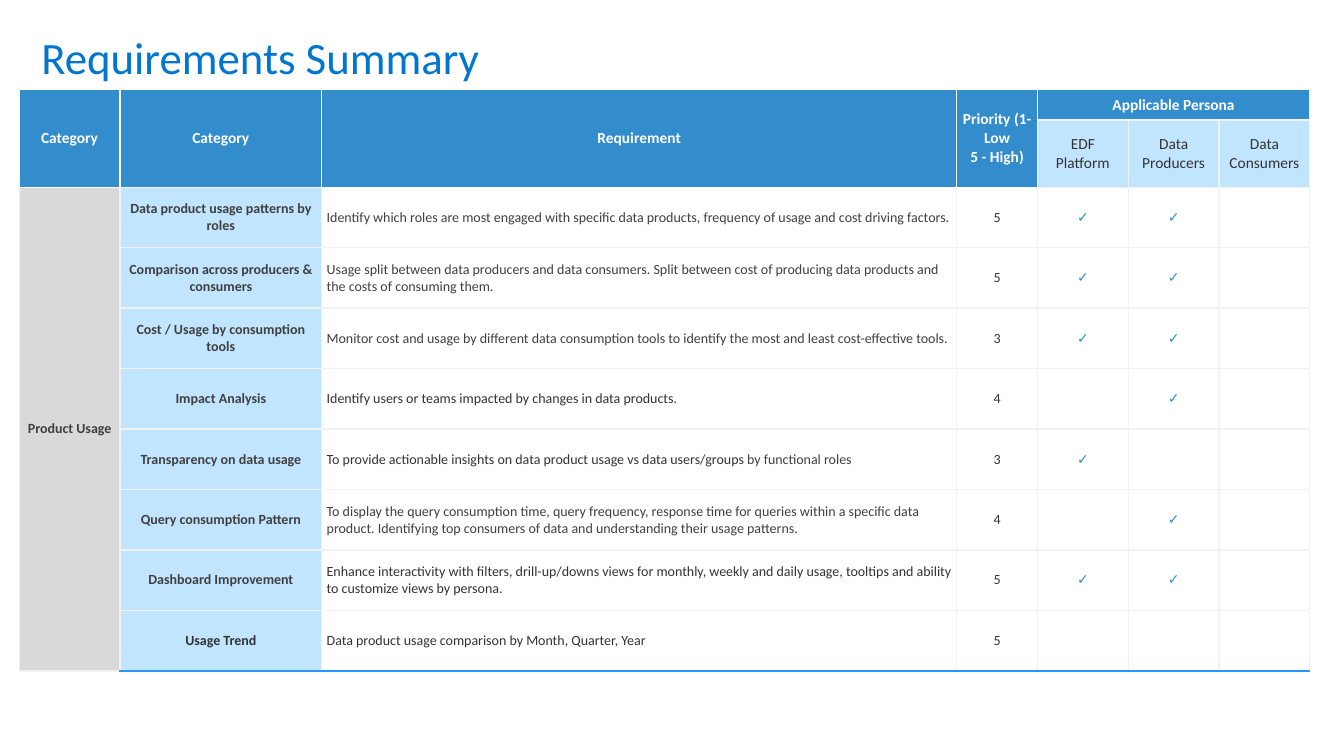
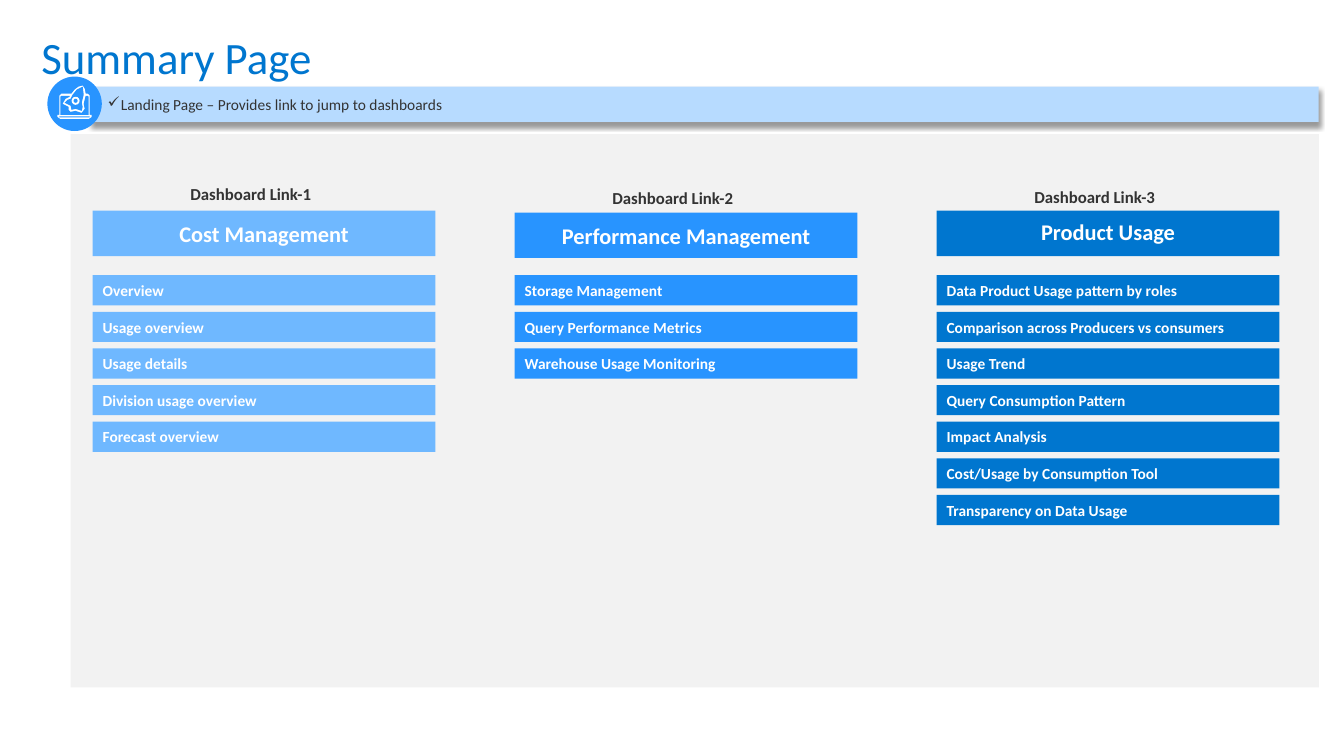
from lxml import etree
from pptx import Presentation
from pptx.dml.color import RGBColor
from pptx.enum.shapes import MSO_SHAPE
from pptx.enum.text import MSO_ANCHOR, MSO_AUTO_SIZE, PP_ALIGN
from pptx.oxml.ns import qn
from pptx.util import Inches, Pt

RECTANGLE, OVAL = MSO_SHAPE.RECTANGLE, MSO_SHAPE.OVAL
LEFT, CENTER = PP_ALIGN.LEFT, PP_ALIGN.CENTER
TOP, MIDDLE = MSO_ANCHOR.TOP, MSO_ANCHOR.MIDDLE
FONT = "Calibri"
TITLE_ONLY = 5
COLORS = {
    "title": "0076CF", "header": "338DCD", "pale": "C2E5FF", "band": "B7DBFF",
    "sky": "6FB8FF", "bright": "2894FF", "deep": "0076CF",
    "panel": "F2F2F2", "group": "D9D9D9", "white": "FFFFFF",
    "dark": "333333", "soft": "404040", "black": "000000",
}

# Requirements: category, category colour, requirement runs, priority, personas
CHECK = "✓"
MAIN_HEADERS = [["Category"], ["Category"], ["Requirement"],
                ["Priority (1- Low", "5 - High)"]]
PERSONAS = ["EDF Platform", "Data Producers", "Data Consumers"]
REQUIREMENTS = [
    ("Data product usage patterns by roles", "soft",
     [("Identify which roles are most engaged with specific data products, "
       "frequency of usage and cost driving factors.", "soft")], "5", (1, 1, 0)),
    ("Comparison across producers & consumers", "soft",
     [("Usage split between data producers and data consumers. Split between cost "
       "of producing data products and the costs of consuming them.", "soft")],
     "5", (1, 1, 0)),
    ("Cost / Usage by consumption tools", "soft",
     [("Monitor cost and usage by different data consumption tools to identify "
       "the most and least cost-effective tools.", "soft")], "3", (1, 1, 0)),
    ("Impact Analysis", "soft",
     [("Identify users or teams impacted by changes in data products.", "dark")],
     "4", (0, 1, 0)),
    ("Transparency on data usage", "soft",
     [("To provide actionable insights on data product usage vs data users/groups",
       "dark"), (" by functional roles", "soft")], "3", (1, 0, 0)),
    ("Query consumption Pattern", "soft",
     [("To display the query consumption time, query frequency, response time "
       "for queries within a specific data product. Identifying top consumers of "
       "data and understanding their usage patterns.", "soft")], "4", (0, 1, 0)),
    ("Dashboard Improvement", "soft",
     [("Enhance interactivity with filters, drill-up/downs views for monthly, "
       "weekly and daily usage, tooltips and ability to customize views by "
       "persona.", "dark")], "5", (1, 1, 0)),
    ("Usage Trend", "dark",
     [("Data product usage comparison by Month, Quarter, Year", "dark")],
     "5", (0, 0, 0)),
]
COLUMN_WIDTHS = [1, 2, 6.3, 0.8, 0.9, 0.9, 0.9]
ROW_HEIGHTS = [0.3, 0.66] + [0.6] * len(REQUIREMENTS)

# Dashboards: link, label top, heading, heading top, line spacing, colour, pages
DASHBOARDS = [
    ("Dashboard Link-1", 1.77, "Cost Management", 2.09, 1.0, "sky",
     ["Overview", "Usage overview", "Usage details", "Division usage overview",
      "Forecast overview"]),
    ("Dashboard Link-2", 1.81, "Performance Management", 2.11, 1.0, "bright",
     ["Storage Management", "Query Performance Metrics",
      "Warehouse Usage Monitoring"]),
    ("Dashboard Link-3", 1.8, "Product Usage", 2.09, 0.9, "deep",
     ["Data Product Usage pattern by roles",
      "Comparison across Producers vs consumers", "Usage Trend",
      "Query Consumption Pattern", "Impact Analysis",
      "Cost/Usage by Consumption Tool", "Transparency on Data Usage"]),
]
FIRST_LEFT, LAST_LEFT, COLUMN_WIDTH = 0.92, 9.29, 3.4
FIRST_PAGE_TOP, LAST_PAGE_TOP, PAGE_HEIGHT = 2.73, 4.91, 0.3
COLUMN_PITCH = (LAST_LEFT - FIRST_LEFT) / (len(DASHBOARDS) - 1)
PAGE_PITCH = (LAST_PAGE_TOP - FIRST_PAGE_TOP) / 6

# Laptop and rocket icon, outlines in inches from back to front
ICON_OUTLINES = [
    ("white", [(0.6, 1.18), (0.57, 1.16), (0.57, 1.14), (0.59, 1.14), (0.59, 0.95),
               (0.61, 0.93), (0.71, 0.93), (0.74, 0.89), (0.78, 0.86), (0.82, 0.85),
               (0.84, 0.88), (0.85, 0.93), (0.87, 0.93), (0.89, 0.95), (0.89, 1.14),
               (0.91, 1.14), (0.91, 1.16), (0.88, 1.18)]),
    ("bright", [(0.6, 0.96), (0.61, 0.95), (0.69, 0.95), (0.69, 0.96), (0.65, 0.98),
                (0.62, 1.03), (0.68, 1.06), (0.68, 1.09), (0.7, 1.11), (0.75, 1.1),
                (0.81, 1.12), (0.84, 1.08), (0.83, 1.03), (0.85, 0.95),
                (0.87, 0.95), (0.88, 0.96), (0.88, 1.14), (0.6, 1.14)]),
    ("bright", [(0.72, 0.94), (0.76, 0.89), (0.82, 0.86), (0.83, 0.94), (0.81, 1.02),
                (0.82, 1.06), (0.81, 1.1), (0.75, 1.08), (0.71, 1.09), (0.7, 1.05),
                (0.64, 1.02), (0.67, 0.99), (0.7, 0.98)]),
]


def color(name):
    return RGBColor.from_string(COLORS[name])


def add_run(paragraph, text, size, color_name, bold=False):
    run = paragraph.add_run()
    run.text = text
    run.font.name = FONT
    run.font.size = Pt(size)
    run.font.bold = bold
    run.font.color.rgb = color(color_name)


def paint(shape, fill_name):
    shape.shadow.inherit = False
    shape.fill.solid()
    shape.fill.fore_color.rgb = color(fill_name)
    shape.line.fill.background()


def add_block(slide, box, fill_name, kind=RECTANGLE):
    shape = slide.shapes.add_shape(kind, *[Inches(value) for value in box])
    paint(shape, fill_name)
    return shape


def add_label_block(slide, box, fill_name, text, size, alignment=LEFT, spacing=1.0):
    frame = add_block(slide, box, fill_name).text_frame
    frame.word_wrap = True
    frame.vertical_anchor = MIDDLE
    paragraph = frame.paragraphs[0]
    paragraph.alignment = alignment
    paragraph.line_spacing = spacing
    add_run(paragraph, text, size, "white", True)


def add_titled_slide(presentation, text):
    slide = presentation.slides.add_slide(presentation.slide_layouts[TITLE_ONLY])
    title = slide.shapes.title
    title.left, title.top = Inches(0.31), Inches(0.24)
    title.width, title.height = Inches(13.02), Inches(0.56)
    title.text_frame.auto_size = MSO_AUTO_SIZE.NONE
    title.text_frame.vertical_anchor = TOP
    title.text_frame.paragraphs[0].alignment = LEFT
    add_run(title.text_frame.paragraphs[0], text, 32, "title")
    return slide


def set_borders(cell, edges):
    properties = cell._tc.get_or_add_tcPr()
    for side, color_name in edges.items():
        line = etree.SubElement(properties, qn("a:ln" + side), w=str(Pt(1)))
        fill = etree.SubElement(line, qn("a:solidFill"))
        etree.SubElement(fill, qn("a:srgbClr"), val=COLORS[color_name])


def fill_cell(cell, paragraphs, size, fill_name=None, bold=False, alignment=CENTER):
    """Each paragraph is a list of (text, colour name) runs."""
    if fill_name:
        cell.fill.solid()
        cell.fill.fore_color.rgb = color(fill_name)
    else:
        cell.fill.background()
    cell.vertical_anchor = MIDDLE
    cell.margin_left = cell.margin_right = Inches(0.05)
    cell.margin_top = cell.margin_bottom = Inches(0.05)
    frame = cell.text_frame
    for index, runs in enumerate(paragraphs):
        paragraph = frame.add_paragraph() if index else frame.paragraphs[0]
        paragraph.alignment = alignment
        for text, color_name in runs:
            add_run(paragraph, text, size, color_name, bold)


def build_requirements(presentation):
    slide = add_titled_slide(presentation, "Requirements Summary")
    row_count, column_count = len(ROW_HEIGHTS), len(COLUMN_WIDTHS)
    table = slide.shapes.add_table(
        row_count, column_count, Inches(0.19), Inches(0.89),
        Inches(sum(COLUMN_WIDTHS)), Inches(sum(ROW_HEIGHTS))).table
    table.first_row = table.horz_banding = False
    for column, width in zip(table.columns, COLUMN_WIDTHS):
        column.width = Inches(width)
    for row, height in zip(table.rows, ROW_HEIGHTS):
        row.height = Inches(height)

    # Borders: white around the main headers, blue under the last row
    main_count = len(MAIN_HEADERS)
    for row in range(row_count):
        for column in range(column_count):
            edges = dict.fromkeys("LRTB", "panel")
            if row < 2 and column < main_count:
                edges = dict.fromkeys("LRTB", "white")
            elif row < 2 and column == main_count:
                edges["L"] = "white"
            elif row == 2 and column < main_count:
                edges["T"] = "white"
            if row == row_count - 1:
                edges["B"] = "bright"
            set_borders(table.cell(row, column), edges)

    # Header rows
    for column, lines in enumerate(MAIN_HEADERS):
        table.cell(0, column).merge(table.cell(1, column))
        fill_cell(table.cell(0, column), [[(line, "white")] for line in lines],
                  11, "header", True)
    table.cell(0, main_count).merge(table.cell(0, column_count - 1))
    fill_cell(table.cell(0, main_count), [[("Applicable Persona", "white")]],
              11, "header", True)
    for column, persona in enumerate(PERSONAS, main_count):
        fill_cell(table.cell(1, column), [[(persona, "dark")]], 11, "pale")

    # Body rows
    table.cell(2, 0).merge(table.cell(row_count - 1, 0))
    fill_cell(table.cell(2, 0), [[("Product Usage", "soft")]], 10, "group", True)
    for row, (category, shade, runs, priority, checks) in enumerate(REQUIREMENTS, 2):
        fill_cell(table.cell(row, 1), [[(category, shade)]], 10, "pale", True)
        fill_cell(table.cell(row, 2), [runs], 10, alignment=LEFT)
        fill_cell(table.cell(row, 3), [[(priority, "dark")]], 10)
        for column, checked in enumerate(checks, main_count):
            marks = [[(CHECK, "header")]] if checked else []
            fill_cell(table.cell(row, column), marks, 10)


def add_landing_band(slide):
    band = add_block(slide, (0.91, 0.86, 12.17, 0.35), "band")
    effects = band._element.spPr.find(qn("a:effectLst"))
    shadow = etree.SubElement(effects, qn("a:outerShdw"), blurRad=str(Pt(4)),
                              dist=str(Pt(3)), dir="5400000", rotWithShape="0")
    shade = etree.SubElement(shadow, qn("a:srgbClr"), val=COLORS["black"])
    etree.SubElement(shade, qn("a:alpha"), val="40000")
    band.text_frame.word_wrap = True
    band.text_frame.vertical_anchor = MIDDLE
    paragraph = band.text_frame.paragraphs[0]
    paragraph.alignment = LEFT
    properties = paragraph._p.get_or_add_pPr()
    properties.set("marL", str(Inches(0.19)))
    properties.set("indent", str(Inches(-0.13)))
    etree.SubElement(properties, qn("a:buChar"), char=CHECK)
    add_run(paragraph, "Landing Page – Provides link to jump to dashboards", 11, "dark")


def add_icon(slide):
    add_block(slide, (0.47, 0.76, 0.54, 0.54), "bright", OVAL)
    for fill_name, outline in ICON_OUTLINES:
        points = [(Inches(x), Inches(y)) for x, y in outline]
        builder = slide.shapes.build_freeform(*points[0])
        builder.add_line_segments(points[1:], close=True)
        paint(builder.convert_to_shape(), fill_name)
    # Rocket window: white ring with a blue centre
    add_block(slide, (0.71, 0.96, 0.08, 0.08), "white", OVAL)
    add_block(slide, (0.73, 0.98, 0.04, 0.04), "bright", OVAL)
    add_block(slide, (0.59, 1.155, 0.3, 0.01), "bright")


def build_summary(presentation):
    slide = add_titled_slide(presentation, "Summary Page")
    add_block(slide, (0.7, 1.33, 12.38, 5.49), "panel")
    for index, dashboard in enumerate(DASHBOARDS):
        link, link_top, heading, heading_top, spacing, fill_name, pages = dashboard
        left = FIRST_LEFT + index * COLUMN_PITCH
        label = slide.shapes.add_textbox(Inches(left + 0.87), Inches(link_top),
                                         Inches(1.67), Inches(0.31))
        label.text_frame.word_wrap = True
        add_run(label.text_frame.paragraphs[0], link, 12, "dark", True)
        add_label_block(slide, (left, heading_top, COLUMN_WIDTH, 0.45), fill_name,
                        heading, 16, CENTER, spacing)
        for position, page in enumerate(pages):
            top = FIRST_PAGE_TOP + position * PAGE_PITCH
            add_label_block(slide, (left, top, COLUMN_WIDTH, PAGE_HEIGHT),
                            fill_name, page, 11)
    add_landing_band(slide)
    add_icon(slide)


def main():
    presentation = Presentation()
    presentation.slide_width, presentation.slide_height = Inches(13.33), Inches(7.5)
    build_requirements(presentation)
    build_summary(presentation)
    presentation.save("out.pptx")


if __name__ == "__main__":
    main()
